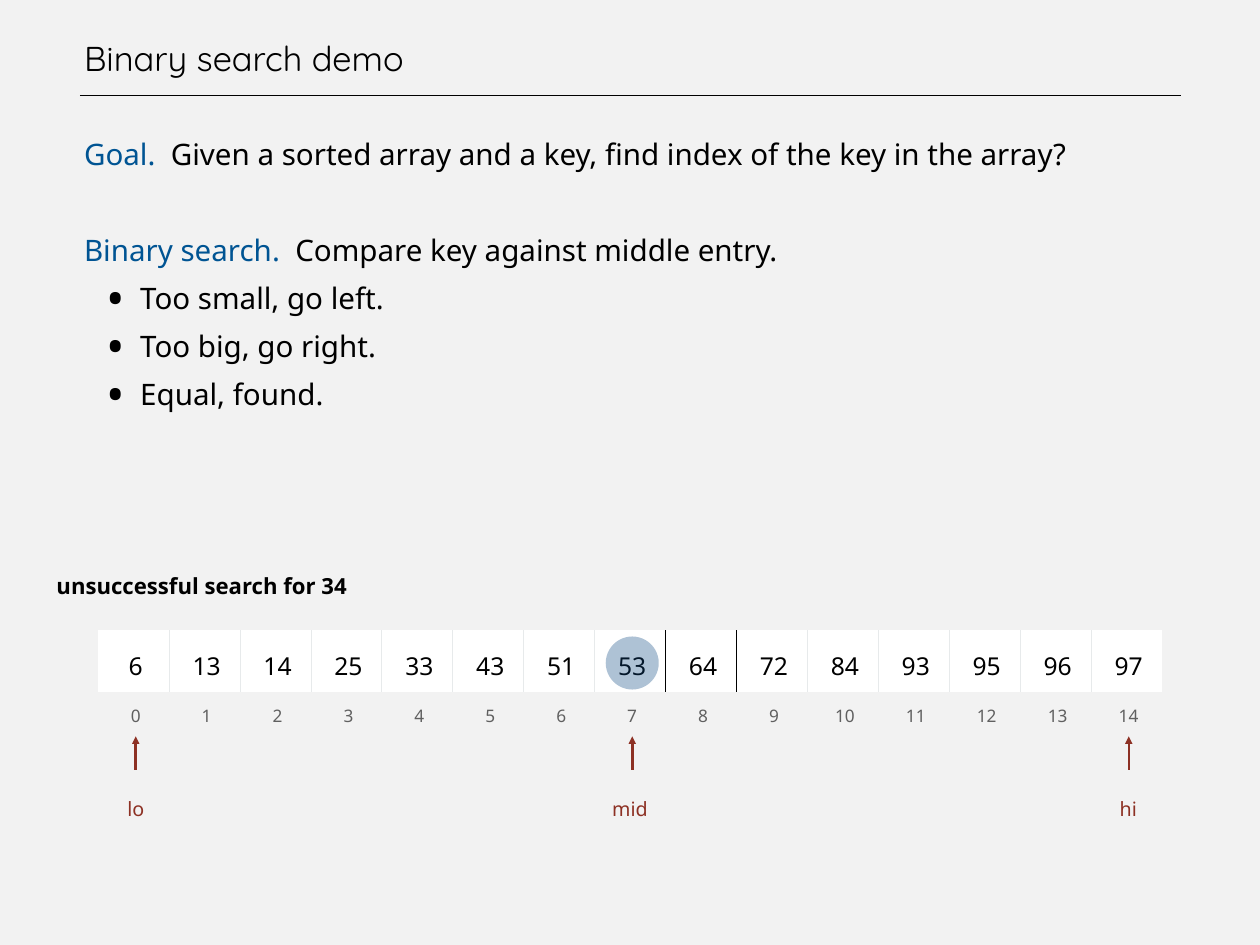
from lxml import etree
from pptx import Presentation
from pptx.dml.color import RGBColor
from pptx.enum.shapes import MSO_CONNECTOR, MSO_SHAPE
from pptx.enum.text import MSO_ANCHOR, MSO_AUTO_SIZE, PP_ALIGN
from pptx.oxml.ns import qn
from pptx.util import Cm, Pt

STRAIGHT = MSO_CONNECTOR.STRAIGHT
OVAL = MSO_SHAPE.OVAL
MIDDLE, BOTTOM = MSO_ANCHOR.MIDDLE, MSO_ANCHOR.BOTTOM
CENTER = PP_ALIGN.CENTER
GROW = MSO_AUTO_SIZE.SHAPE_TO_FIT_TEXT

BLACK = RGBColor(0x00, 0x00, 0x00)
WHITE = RGBColor(0xFF, 0xFF, 0xFF)
PALE_GRAY = RGBColor(0xF2, 0xF2, 0xF2)
GRID_GRAY = RGBColor(0xE7, 0xEA, 0xEB)
INDEX_GRAY = RGBColor(0x60, 0x60, 0x60)
BLUE = RGBColor(0x00, 0x54, 0x93)
DISC_BLUE = RGBColor(0x0C, 0x46, 0x81)
RED = RGBColor(0x8D, 0x31, 0x24)

TEXT_FONT = "Noto Sans"
TITLE_FONT = "Quicksand"

TITLE = "Binary search demo"
STATEMENTS = [
    ("Goal. ", " Given a sorted array and a key, find index of the key in the array?"),
    ("Binary search. ", " Compare key against middle entry."),
]
RULES = ["Too small, go left.", "Too big, go right.", "Equal, found."]
CAPTION = "unsuccessful search for 34"
VALUES = [6, 13, 14, 25, 33, 43, 51, 53, 64, 72, 84, 93, 95, 96, 97]
MIDDLE_INDEX = 7
DARK_EDGES = (8, 9)
POINTERS = [("lo", 0, 3.35, 1), ("hi", 14, 31.8, 1), ("mid", MIDDLE_INDEX, 17.25, 1.5)]

SLIDE_WIDTH, SLIDE_HEIGHT = 36.12, 27.08
MARGIN_LEFT, CONTENT_WIDTH = 2.26, 31.6
INSET, CELL_INSET = 0.15, 0.13
TABLE_LEFT, TABLE_TOP, TABLE_WIDTH = 2.81, 18.06, 30.5
COLUMN_WIDTH = TABLE_WIDTH / len(VALUES)
VALUE_HEIGHT, INDEX_HEIGHT = 1.78, 1.04
DISC_SIZE = 1.52
ARROW_TOP, ARROW_BOTTOM, LABEL_TOP = 21.1, 22.07, 22.36
LINE_HEIGHT = Pt(39)


def add_run(paragraph, text, size, color, font=TEXT_FONT, bold=False):
    run = paragraph.add_run()
    run.text = text
    run.font.size = Pt(size)
    run.font.name = font
    run.font.bold = bold
    run.font.color.rgb = color


def set_indent(paragraph, left, first=0):
    properties = paragraph._p.get_or_add_pPr()
    properties.set("marL", str(Cm(left)))
    properties.set("indent", str(Cm(first)))
    return properties


def add_text_frame(slide, left, top, width, height, inset=0):
    frame = slide.shapes.add_textbox(Cm(left), Cm(top), Cm(width), Cm(height)).text_frame
    frame.margin_left = frame.margin_right = Cm(inset)
    frame.margin_top = frame.margin_bottom = Cm(inset)
    frame.word_wrap = True
    return frame


def add_label(slide, left, top, width, height, text, size, color, bold=False):
    frame = add_text_frame(slide, left, top, width, height, INSET)
    frame.word_wrap = False
    frame.auto_size = GROW
    paragraph = frame.paragraphs[0]
    paragraph.line_spacing = 1.5
    set_indent(paragraph, INSET)
    add_run(paragraph, text, size, color, bold=bold)


def add_line(slide, start, end, color, width):
    connector = slide.shapes.add_connector(STRAIGHT, *(Cm(value) for value in start + end))
    connector.line.color.rgb = color
    connector.line.width = Pt(width)
    etree.SubElement(connector._element.spPr, qn("a:effectLst"))
    return connector


def set_bullet(properties):
    color = etree.SubElement(properties, qn("a:buClr"))
    etree.SubElement(color, qn("a:srgbClr"), val=str(BLACK))
    etree.SubElement(properties, qn("a:buSzPct"), val="166000")
    etree.SubElement(properties, qn("a:buFont"), typeface=TEXT_FONT)
    etree.SubElement(properties, qn("a:buChar"), char="•")


def set_border(cell, side, color=None):
    line = etree.SubElement(cell._tc.get_or_add_tcPr(), qn("a:" + side), w=str(Pt(0.45)))
    if color is None:
        etree.SubElement(line, qn("a:noFill"))
    else:
        fill = etree.SubElement(line, qn("a:solidFill"))
        etree.SubElement(fill, qn("a:srgbClr"), val=str(color))


def edge_color(edge):
    if edge in (0, len(VALUES)):
        return None
    return BLACK if edge in DARK_EDGES else GRID_GRAY


def fill_cell(cell, text, size, color, left_edge=None, right_edge=None, background=None):
    set_border(cell, "lnL", left_edge)
    set_border(cell, "lnR", right_edge)
    set_border(cell, "lnT")
    set_border(cell, "lnB")
    if background is None:
        cell.fill.background()
    else:
        cell.fill.solid()
        cell.fill.fore_color.rgb = background
    cell.margin_left = cell.margin_right = Cm(INSET)
    cell.margin_top = cell.margin_bottom = Cm(CELL_INSET)
    cell.vertical_anchor = MIDDLE
    paragraph = cell.text_frame.paragraphs[0]
    paragraph.alignment = CENTER
    paragraph.line_spacing = 1.3
    set_indent(paragraph, CELL_INSET)
    add_run(paragraph, str(text), size, color)


def add_heading(slide):
    add_line(slide, (2.29, 2.74), (33.86, 2.74), BLACK, 1)
    frame = add_text_frame(slide, MARGIN_LEFT, 0, CONTENT_WIDTH, 2.26)
    frame.vertical_anchor = BOTTOM
    set_indent(frame.paragraphs[0], INSET)
    add_run(frame.paragraphs[0], TITLE, 28, BLACK, TITLE_FONT)


def add_explanation(slide):
    frame = add_text_frame(slide, MARGIN_LEFT, 3.53, CONTENT_WIDTH, 22.58)
    for number, (term, statement) in enumerate(STATEMENTS):
        paragraph = frame.add_paragraph() if number else frame.paragraphs[0]
        paragraph.line_spacing = LINE_HEIGHT
        if number:
            paragraph.space_before = LINE_HEIGHT
        set_indent(paragraph, INSET)
        add_run(paragraph, term, 24, BLUE)
        add_run(paragraph, statement, 24, BLACK)
    for rule in RULES:
        paragraph = frame.add_paragraph()
        paragraph.level = 1
        paragraph.line_spacing = LINE_HEIGHT
        set_bullet(set_indent(paragraph, 1.76, -0.97))
        add_run(paragraph, rule, 24, BLACK)


def add_array(slide):
    table = slide.shapes.add_table(
        2, len(VALUES), Cm(TABLE_LEFT), Cm(TABLE_TOP),
        Cm(TABLE_WIDTH), Cm(VALUE_HEIGHT + INDEX_HEIGHT)).table
    table.first_row = table.horz_banding = False
    for row, height in zip(table.rows, (VALUE_HEIGHT, INDEX_HEIGHT)):
        row.height = Cm(height)
    for index, value in enumerate(VALUES):
        table.columns[index].width = Cm(COLUMN_WIDTH)
        fill_cell(table.cell(0, index), value, 20, BLACK,
                  edge_color(index), edge_color(index + 1), WHITE)
        fill_cell(table.cell(1, index), index, 14, INDEX_GRAY)


def number_center(index):
    return TABLE_LEFT + (index + 0.5) * COLUMN_WIDTH + CELL_INSET / 2


def add_pointers(slide):
    for name, index, left, width in POINTERS:
        add_label(slide, left, LABEL_TOP, width, 1.3, name, 16, RED)
        center = number_center(index)
        arrow = add_line(slide, (center, ARROW_TOP), (center, ARROW_BOTTOM), RED, 2)
        etree.SubElement(arrow.line._get_or_add_ln(), qn("a:headEnd"), type="triangle")


def add_disc(slide):
    left = number_center(MIDDLE_INDEX) - DISC_SIZE / 2
    top = TABLE_TOP + (VALUE_HEIGHT - DISC_SIZE) / 2 + 0.05
    disc = slide.shapes.add_shape(OVAL, Cm(left), Cm(top), Cm(DISC_SIZE), Cm(DISC_SIZE))
    disc.shadow.inherit = False
    disc.line.fill.background()
    disc.fill.solid()
    disc.fill.fore_color.rgb = DISC_BLUE
    color = disc._element.spPr.find(qn("a:solidFill")).find(qn("a:srgbClr"))
    etree.SubElement(color, qn("a:alpha"), val="33000")


def main():
    presentation = Presentation()
    presentation.slide_width, presentation.slide_height = Cm(SLIDE_WIDTH), Cm(SLIDE_HEIGHT)
    slide = presentation.slides.add_slide(presentation.slide_layouts[6])
    slide.background.fill.solid()
    slide.background.fill.fore_color.rgb = PALE_GRAY
    add_heading(slide)
    add_explanation(slide)
    add_array(slide)
    add_pointers(slide)
    add_disc(slide)
    add_label(slide, 1.32, 15.88, 8.79, 1.42, CAPTION, 18, BLACK, bold=True)
    presentation.save("out.pptx")


if __name__ == "__main__":
    main()
